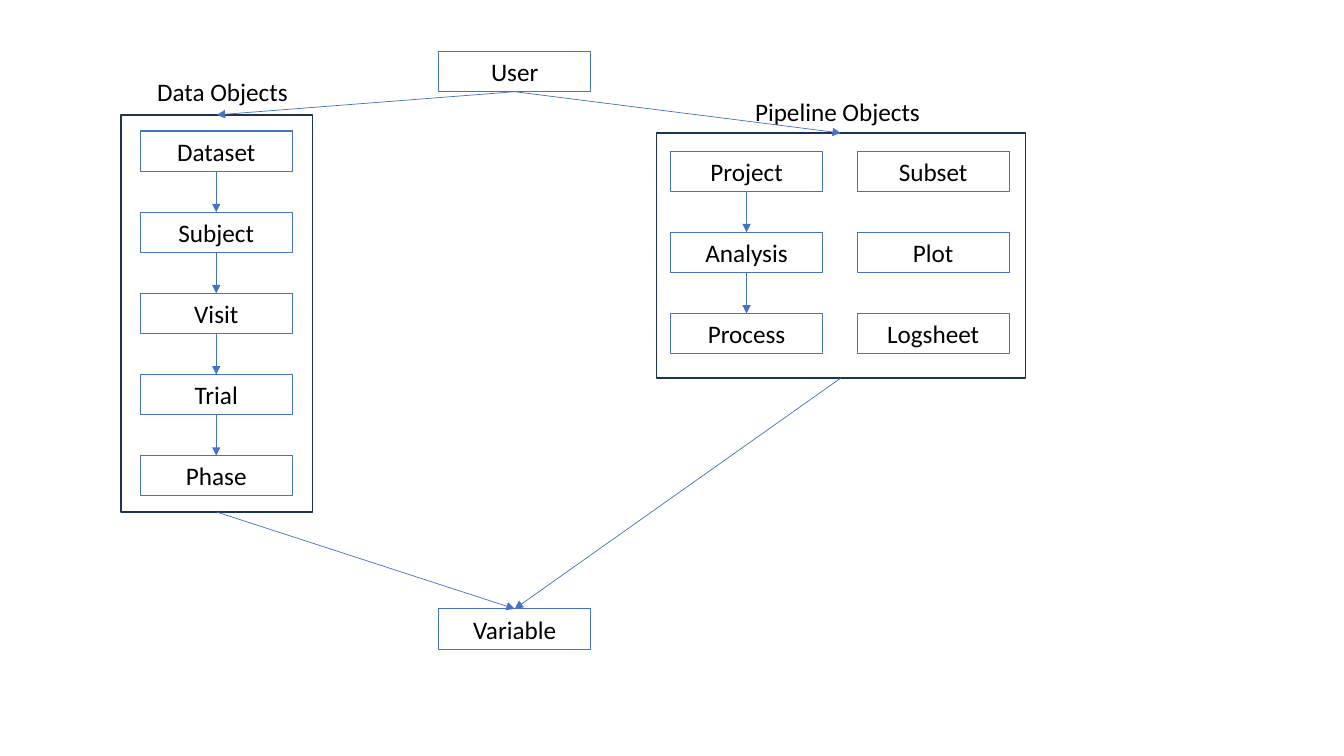
import pptx
import pptx.util
import pptx.dml.color
import pptx.enum.shapes
import pptx.enum.text
import lxml.etree
from dataclasses import dataclass
from pptx.util import Inches


@dataclass(frozen=True)
class Theme:
    """Colours, type and line sizes of the slide."""
    blue: str = "4472C4"
    navy: str = "1E3256"
    ink: str = "000000"
    font: str = "Calibri"
    size: float = 18
    edge: float = 0.75
    frame: float = 1
    arrow: float = 0.5


THEME = Theme()
WIDE, HIGH, STEP = 1.51, 0.4, 0.805
TOP, BOTTOM = 0, 2


def color(code):
    """Turn a hex code into a colour."""
    return pptx.dml.color.RGBColor.from_string(code)


def assign(item, values):
    """Set attributes of an item from a dict."""
    for name, value in values.items():
        setattr(item, name, value)


def write(shape, text, align, wrap):
    """Put one line of styled text in a shape."""
    frame = shape.text_frame
    assign(frame, {"word_wrap": wrap,
                   "vertical_anchor": pptx.enum.text.MSO_ANCHOR.MIDDLE})
    line = frame.paragraphs[0]
    line.alignment = align
    run = line.add_run()
    run.text = text
    assign(run.font, {"name": THEME.font, "size": pptx.util.Pt(THEME.size)})
    run.font.color.rgb = color(THEME.ink)


def outline(slide, left, top, width, height, code, weight):
    """Add an unfilled rectangle."""
    kind = pptx.enum.shapes.MSO_SHAPE.RECTANGLE
    shape = slide.shapes.add_shape(
        kind, Inches(left), Inches(top), Inches(width), Inches(height))
    shape.shadow.inherit = False
    shape.fill.background()
    shape.line.color.rgb = color(code)
    shape.line.width = pptx.util.Pt(weight)
    return shape


def box(slide, text, left, top):
    """Add a named box."""
    shape = outline(slide, left, top, WIDE, HIGH, THEME.blue, THEME.edge)
    write(shape, text, pptx.enum.text.PP_ALIGN.CENTER, True)
    return shape


def label(slide, text, left, top, width):
    """Add a group heading."""
    shape = slide.shapes.add_textbox(
        Inches(left), Inches(top), Inches(width), Inches(HIGH))
    write(shape, text, pptx.enum.text.PP_ALIGN.LEFT, False)


def arrow(slide, start, end):
    """Join the bottom of one shape to the top of another."""
    kind = pptx.enum.shapes.MSO_CONNECTOR.STRAIGHT
    link = slide.shapes.add_connector(kind, 0, 0, 0, 0)
    link.begin_connect(start, BOTTOM)
    link.end_connect(end, TOP)
    link.line.color.rgb = color(THEME.blue)
    link.line.width = pptx.util.Pt(THEME.arrow)
    tag = pptx.oxml.ns.qn
    head = lxml.etree.SubElement(link.line._get_or_add_ln(), tag("a:tailEnd"))
    head.set("type", "triangle")
    lxml.etree.SubElement(link._element.spPr, tag("a:effectLst"))


def column(slide, names, left, top):
    """Stack boxes at equal steps."""
    return [box(slide, name, left, top + row * STEP)
            for row, name in enumerate(names)]


def chain(slide, boxes):
    """Link each box to the next."""
    for start, end in zip(boxes, boxes[1:]):
        arrow(slide, start, end)


def main():
    """Build and save the slide."""
    deck = pptx.Presentation()
    assign(deck, {"slide_width": Inches(13.33), "slide_height": Inches(7.5)})
    slide = deck.slides.add_slide(deck.slide_layouts[6])

    user = box(slide, "User", 4.35, 0.51)
    target = box(slide, "Variable", 4.35, 6.04)
    data = outline(slide, 1.2, 1.14, 1.9, 3.94, THEME.navy, THEME.frame)
    pipe = outline(slide, 6.51, 1.32, 3.66, 2.43, THEME.navy, THEME.frame)
    label(slide, "Data Objects", 1.46, 0.71, WIDE)
    label(slide, "Pipeline Objects", 7.39, 0.91, 1.86)

    levels = ["Dataset", "Subject", "Visit", "Trial", "Phase"]
    chain(slide, column(slide, levels, 1.39, 1.3))
    chain(slide, column(slide, ["Project", "Analysis", "Process"], 6.65, 1.5))
    column(slide, ["Subset", "Plot", "Logsheet"], 8.5, 1.5)

    for group in (data, pipe):
        arrow(slide, user, group)
        arrow(slide, group, target)

    deck.save("out.pptx")


if __name__ == "__main__":
    main()
